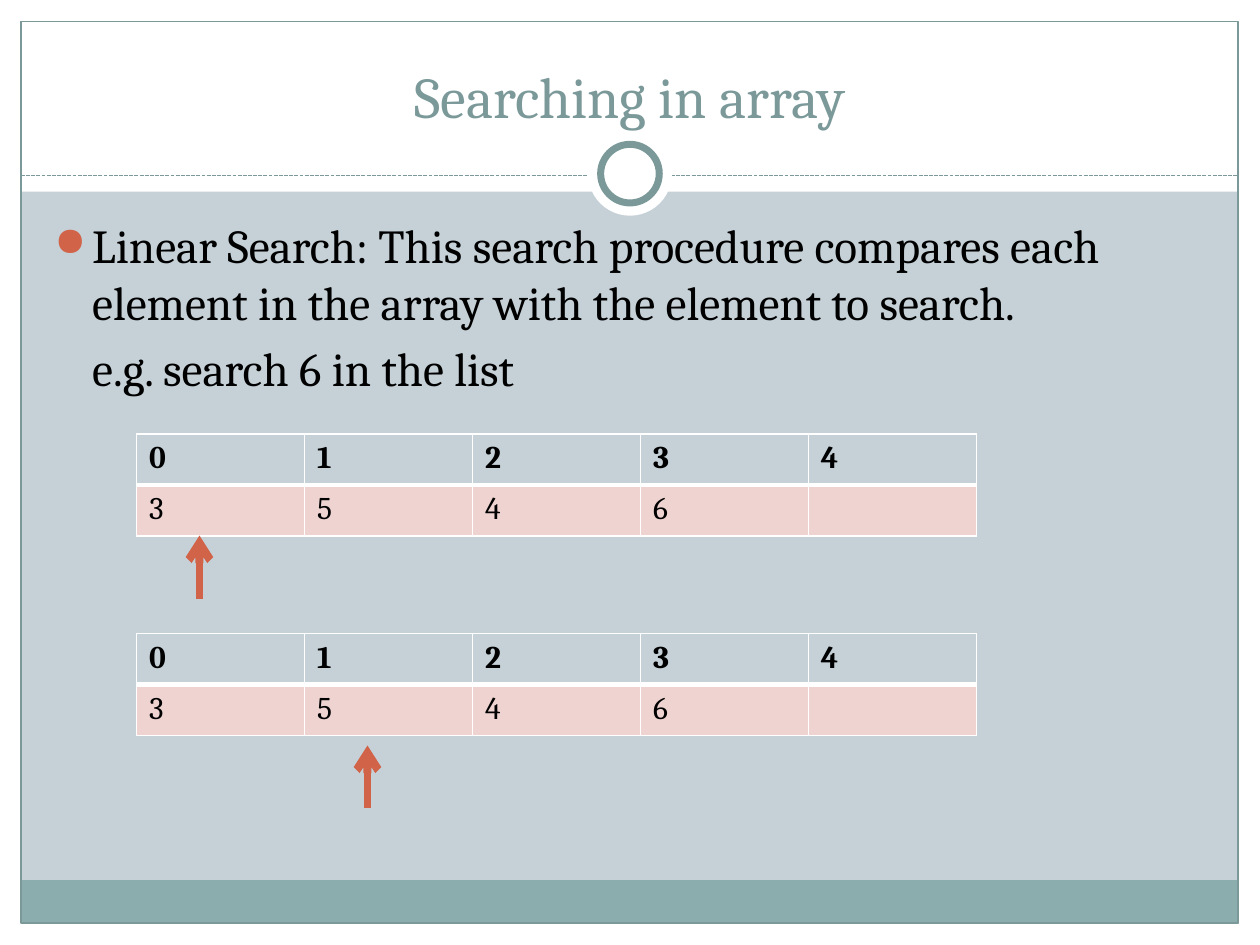
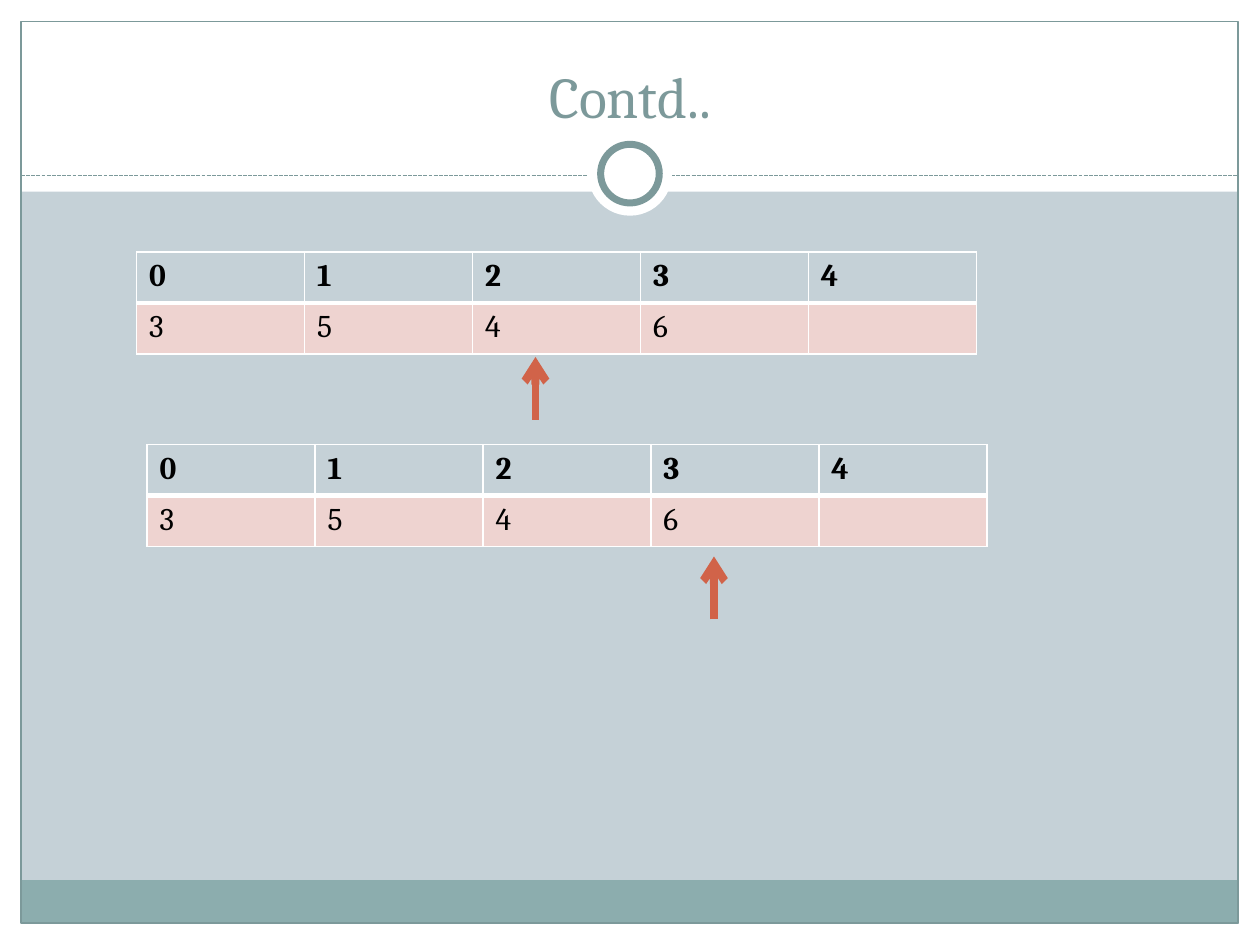
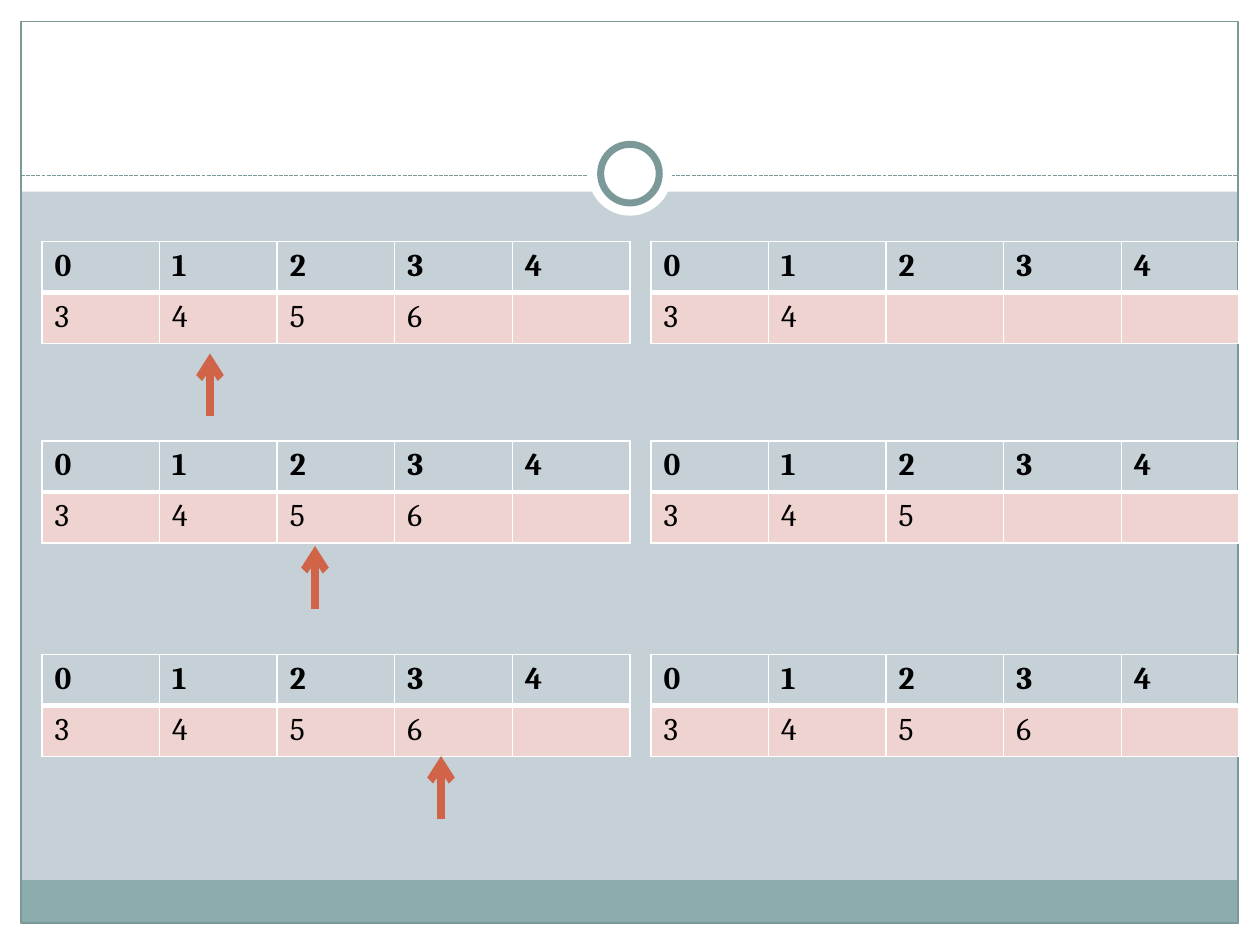
from lxml.etree import SubElement
from pptx import Presentation
from pptx.dml.color import RGBColor
from pptx.enum.dml import MSO_LINE
from pptx.enum.shapes import MSO_CONNECTOR as CONN, MSO_SHAPE as SHAPE
from pptx.enum.text import MSO_ANCHOR as ANCHOR, MSO_AUTO_SIZE as FIT, PP_ALIGN as ALIGN
from pptx.oxml.ns import qn
from pptx.util import Pt

FONT = "Cambria"
BLACK, WHITE = "000000", "FFFFFF"
BACK, BAND, TEAL = "C5D1D7", "8CADAE", "7C999A"
ACCENT, ROW_PINK = "D16349", "EED3D0"
ROW_H = 29.2
WIDE_COL, NARROW_COL = 96, 67.2
INDEXES = "01234"


def rgb(hex_color):
    return RGBColor.from_string(hex_color)


def write(p, text, size=18, color=BLACK, bold=False, align=None):
    p.alignment = align
    r = p.add_run()
    r.text = text
    r.font.name = FONT
    r.font.size = Pt(size)
    r.font.bold = bold
    r.font.color.rgb = rgb(color)


def add_box(s, kind, x, y, w, h, fill=None, line=None, width=0.75):
    sp = s.shapes.add_shape(kind, Pt(x), Pt(y), Pt(w), Pt(h))
    sp.shadow.inherit = False
    if fill:
        sp.fill.solid()
        sp.fill.fore_color.rgb = rgb(fill)
    else:
        sp.fill.background()
    if line:
        sp.line.color.rgb = rgb(line)
        sp.line.width = Pt(width)
    else:
        sp.line.fill.background()
    return sp


def add_line(s, x1, y1, x2, y2, color, width, dash=None, arrow=False):
    c = s.shapes.add_connector(CONN.STRAIGHT, Pt(x1), Pt(y1), Pt(x2), Pt(y2))
    c.line.color.rgb = rgb(color)
    c.line.width = Pt(width)
    if dash:
        c.line.dash_style = dash
    sp_pr = c.element.spPr
    if arrow:
        SubElement(sp_pr.find(qn("a:ln")), qn("a:tailEnd"), type="arrow")
    SubElement(sp_pr, qn("a:effectLst"))
    return c


def build_layout(layout, s):
    for ph in list(layout.placeholders):
        if ph.placeholder_format.idx != 0:
            layout.shapes.element.remove(ph.element)
    layout.background.fill.solid()
    layout.background.fill.fore_color.rgb = rgb(BACK)
    rect, oval = SHAPE.RECTANGLE, SHAPE.OVAL
    frame = [
        add_box(s, rect, 0, 528, 720, 12, WHITE),
        add_box(s, rect, 0, 0, 720, 109.5, WHITE),
        add_box(s, rect, 0, 0, 12, 540, WHITE),
        add_box(s, rect, 708, 0, 12, 540, WHITE),
        add_box(s, rect, 11.75, 503, 695.5, 24.5, BAND),
        add_box(s, rect, 12, 12.25, 695.5, 515.25, line=TEAL),
        add_line(s, 12, 100.5, 708, 100.5, TEAL, 0.75, MSO_LINE.SQUARE_DOT),
        add_box(s, oval, 336, 75.25, 48, 48, WHITE),
        add_box(s, oval, 343.25, 82.5, 33.5, 33.5, WHITE, TEAL, 4),
    ]
    for sp in frame:
        layout.shapes.element.append(sp.element)


def set_title(s, text):
    title = s.shapes.title
    title.left, title.top, title.width, title.height = Pt(24), Pt(18), Pt(672), Pt(60)
    tf = title.text_frame
    tf.auto_size = FIT.NONE
    tf.vertical_anchor = ANCHOR.BOTTOM
    write(tf.paragraphs[0], text, size=33, color=TEAL, align=ALIGN.CENTER)


def format_paragraph(p, bullet):
    p.space_before = Pt(5.4)
    p_pr = p._p.get_or_add_pPr()
    p_pr.set("marL", str(Pt(21.6)))
    p_pr.set("indent", str(-Pt(21.6) if bullet else 0))
    if bullet:
        SubElement(SubElement(p_pr, qn("a:buClr")), qn("a:srgbClr"), val=ACCENT)
        SubElement(p_pr, qn("a:buSzPct"), val="85000")
        SubElement(p_pr, qn("a:buChar"), char="●")


def add_body(s, bullet_text, example):
    tf = s.shapes.add_textbox(Pt(24), Pt(120), Pt(669.6), Pt(360)).text_frame
    tf.word_wrap = True
    for p, text, bullet in ((tf.paragraphs[0], bullet_text, True),
                            (tf.add_paragraph(), example, False)):
        write(p, text, size=27)
        format_paragraph(p, bullet)


def set_borders(cell, top, bottom):
    tc_pr = cell._tc.get_or_add_tcPr()
    for side, width in (("L", 1), ("R", 1), ("T", top), ("B", bottom)):
        ln = SubElement(tc_pr, qn(f"a:ln{side}"), w=str(Pt(width)))
        SubElement(SubElement(ln, qn("a:solidFill")), qn("a:srgbClr"), val=WHITE)


def add_array(s, x, y, values, col_w):
    n = len(INDEXES)
    table = s.shapes.add_table(2, n, Pt(x), Pt(y), Pt(col_w * n), Pt(ROW_H * 2)).table
    table.horz_banding = False
    for col in table.columns:
        col.width = Pt(col_w)
    for row in table.rows:
        row.height = Pt(ROW_H)
    for i, index in enumerate(INDEXES):
        head, body = table.cell(0, i), table.cell(1, i)
        set_borders(head, 1, 3)
        head.fill.background()
        write(head.text_frame.paragraphs[0], index, bold=True)
        set_borders(body, 3, 1)
        body.fill.solid()
        body.fill.fore_color.rgb = rgb(ROW_PINK)
        if i < len(values):
            write(body.text_frame.paragraphs[0], values[i])


def add_pointer(s, x, tip):
    add_line(s, x, tip + 36, x, tip, ACCENT, 4.5, arrow=True)


def add_search_steps(s, steps):
    for x, y, pointer_x, tip in steps:
        add_array(s, x, y, "3546", WIDE_COL)
        add_pointer(s, pointer_x, tip)


def add_merge_steps(s, steps):
    source = "3456"
    for y, copied, pointer_x, tip in steps:
        add_array(s, 372, y, source[:copied], NARROW_COL)
        add_array(s, 24, y, source, NARROW_COL)
        add_pointer(s, pointer_x, tip)


def main():
    prs = Presentation()
    prs.slide_width, prs.slide_height = Pt(720), Pt(540)
    layout = prs.slide_layouts[5]

    s = prs.slides.add_slide(layout)
    build_layout(layout, s)
    set_title(s, "Searching in array")
    add_body(s, "Linear Search: This search procedure compares each element "
                "in the array with the element to search.",
             "e.g. search 6 in the list")
    add_search_steps(s, [(78, 248, 114, 306), (78, 362, 210, 426)])

    s = prs.slides.add_slide(layout)
    set_title(s, "Contd..")
    add_search_steps(s, [(78, 144, 306, 204), (84, 254, 408, 318)])

    s = prs.slides.add_slide(layout)
    s.shapes.element.remove(s.shapes.title.element)
    add_merge_steps(s, [(138, 2, 120, 202), (252, 3, 180, 312), (374, 4, 252, 432)])

    prs.save("out.pptx")


if __name__ == "__main__":
    main()
